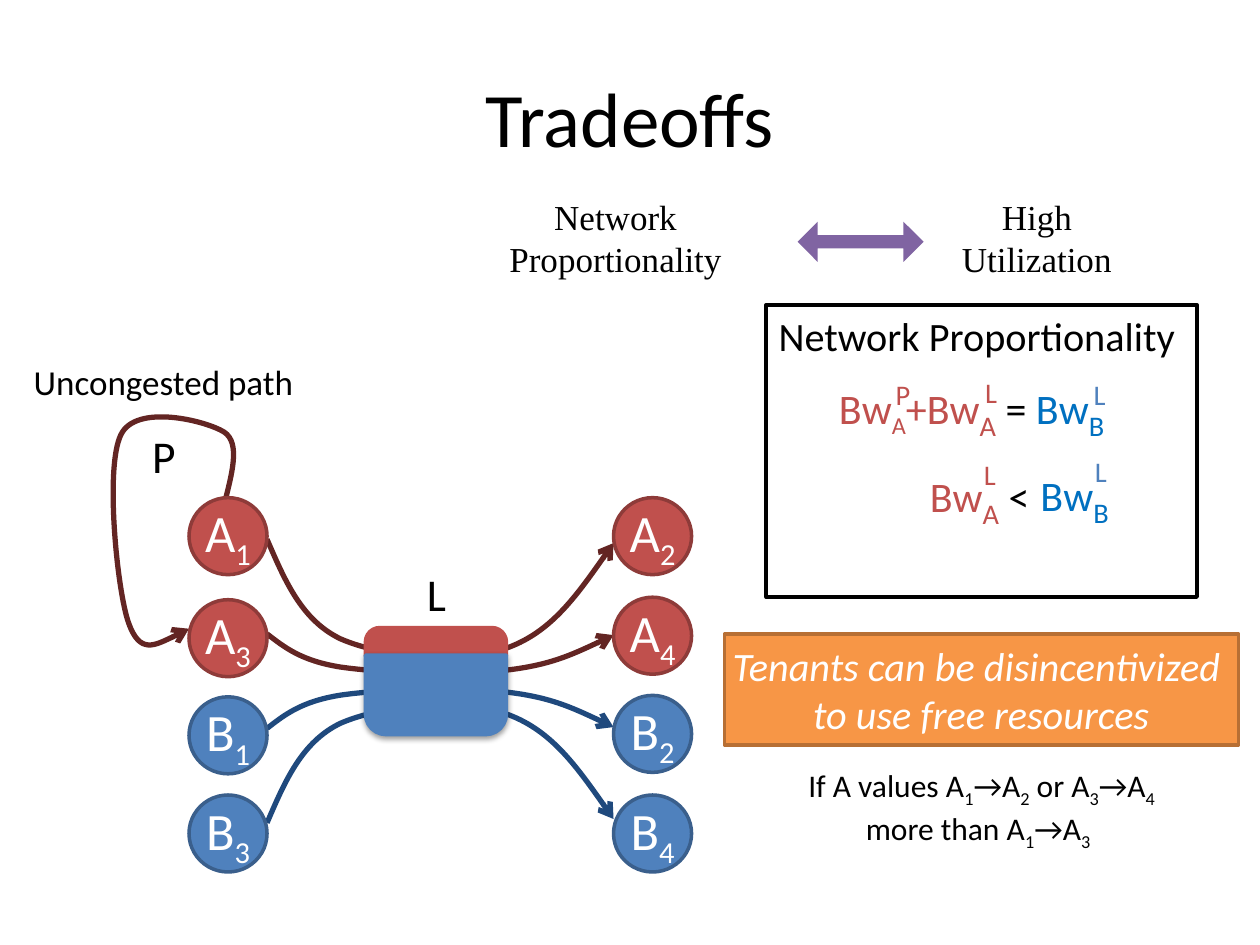
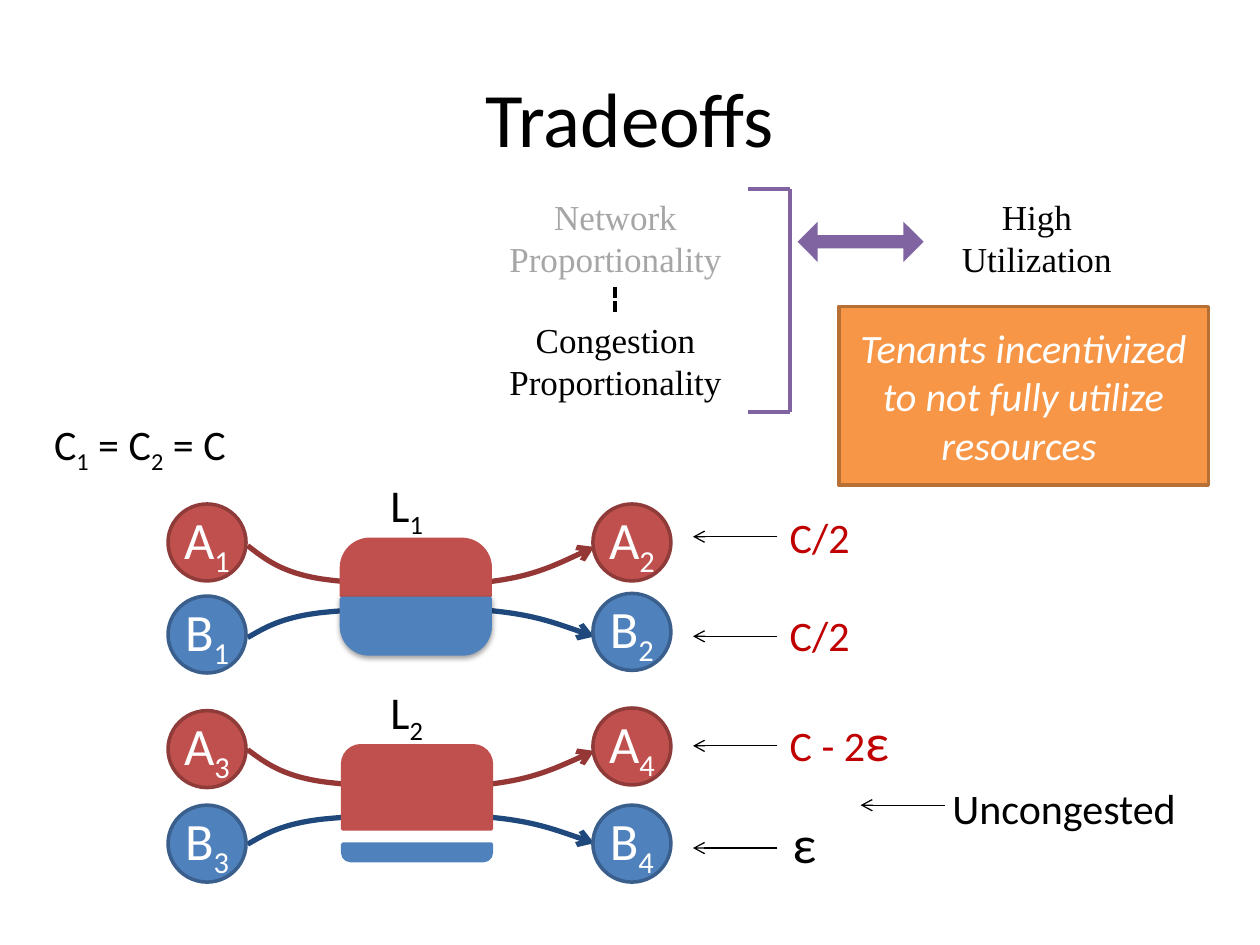
from pptx import Presentation
from pptx.dml.color import RGBColor as RGB
from pptx.enum.dml import MSO_LINE
from pptx.enum.shapes import MSO_CONNECTOR, MSO_SHAPE as SHAPE
from pptx.enum.text import MSO_ANCHOR, MSO_AUTO_SIZE, PP_ALIGN
from pptx.oxml import parse_xml
from pptx.oxml.ns import nsdecls, qn
from pptx.oxml.xmlchemy import OxmlElement
from pptx.util import Pt

BLACK = RGB(0x00, 0x00, 0x00)
WHITE = RGB(0xFF, 0xFF, 0xFF)
GREY = RGB(0xA6, 0xA6, 0xA6)
RED = RGB(0xC0, 0x50, 0x4D)
RED_EDGE = RGB(0x8E, 0x3B, 0x39)
MAROON = RGB(0x63, 0x25, 0x23)
BRICK = RGB(0x95, 0x37, 0x35)
SHARE_RED = RGB(0xC0, 0x00, 0x00)
BLUE = RGB(0x4F, 0x81, 0xBD)
BLUE_EDGE = RGB(0x3A, 0x5F, 0x8C)
NAVY = RGB(0x1F, 0x49, 0x7D)
BRIGHT_BLUE = RGB(0x00, 0x70, 0xC0)
ORANGE = RGB(0xF7, 0x96, 0x46)
ORANGE_EDGE = RGB(0xB7, 0x6F, 0x34)
PURPLE = RGB(0x80, 0x64, 0xA2)
SERIF = "Times New Roman"

# Every link sags with the same profile, scaled to its own depth
LINK_X = (0, 10, 19.5, 42, 65, 109.5, 135.5, 161.5, 180, 198)
LINK_SAG = (0, 0.32, 0.64, 0.79, 0.93, 1, 0.87, 0.75, 0.39, 0.03)


def put(s, box, text="", kind=None, fill=None, edge=None, size=24, color=BLACK,
        font="Calibri", italic=False, base=0, center=False, wrap=False):
    """Add a text box, or a shape of the given kind.

    text is a string or a list of (string, changes) runs, where the changes
    carry on to later runs; "_" makes the next character a subscript.
    """
    box = [Pt(v) for v in box]
    if kind is None:
        sp = s.shapes.add_textbox(*box)
    else:
        sp = s.shapes.add_shape(kind, *box)
        sp.shadow.inherit = False
        sp.fill.solid()
        sp.fill.fore_color.rgb = fill
        if edge is None:
            sp.line.fill.background()
        else:
            sp.line.color.rgb = edge
            sp.line.width = Pt(2)
    if not text:
        return sp
    tf = sp.text_frame
    tf.word_wrap = wrap
    if kind is None:
        tf.auto_size = MSO_AUTO_SIZE.SHAPE_TO_FIT_TEXT
    else:
        tf.margin_left = tf.margin_right = 0
        tf.vertical_anchor = MSO_ANCHOR.MIDDLE
    p = tf.paragraphs[0]
    p.alignment = PP_ALIGN.CENTER if center else PP_ALIGN.LEFT
    look = {"size": size, "color": color}
    for chunk, changes in [(text, {})] if isinstance(text, str) else text:
        look.update(changes)
        first, *rest = chunk.split("_")
        pieces = [(first, base)]
        for part in rest:
            pieces += [(part[0], -25), (part[1:], base)]
        for piece, shift in pieces:
            for i, line in enumerate(piece.split("\n")):
                if i:
                    p = tf.add_paragraph()
                    p.alignment = PP_ALIGN.CENTER if center else PP_ALIGN.LEFT
                if not line:
                    continue
                r = p.add_run()
                r.text = line
                r.font.name, r.font.size = font, Pt(look["size"])
                r.font.color.rgb, r.font.italic = look["color"], italic
                if shift:
                    r.font._element.set("baseline", str(shift * 1000))
    return sp


def stroke(s, points, color, width, arrow=False, dash=None):
    """Draw a straight line through two points, or Bézier curves through 3n + 1."""
    pts = [(Pt(x), Pt(y)) for x, y in points]
    if len(pts) == 2:
        sp = s.shapes.add_connector(MSO_CONNECTOR.STRAIGHT, *pts[0], *pts[1])
    else:
        builder = s.shapes.build_freeform(*pts[0])
        builder.add_line_segments(pts[1:], close=False)
        sp = builder.convert_to_shape()
        sp.fill.background()
        segments = list(sp._element.iter(qn("a:lnTo")))
        for i in range(0, len(segments), 3):
            curve = OxmlElement("a:cubicBezTo")
            segments[i].addprevious(curve)
            for segment in segments[i:i + 3]:
                curve.append(segment[0])
                segment.getparent().remove(segment)
    sp.line.color.rgb = color
    sp.line.width = Pt(width)
    if dash:
        sp.line.dash_style = dash
    ln = next(sp._element.iter(qn("a:ln")))
    if arrow:
        end = OxmlElement("a:tailEnd")
        end.set("type", "arrow")
        ln.append(end)
    ln.addnext(OxmlElement("a:effectLst"))


prs = Presentation()
prs.slide_width, prs.slide_height = Pt(720), Pt(540)

# Shared header
slides = []
for goal_color in (BLACK, GREY):
    s = prs.slides.add_slide(prs.slide_layouts[5])
    slides.append(s)
    title = s.shapes.title
    title.left, title.top, title.width, title.height = Pt(36), Pt(21.6), Pt(648), Pt(90)
    tf = title.text_frame
    tf.vertical_anchor = MSO_ANCHOR.MIDDLE
    p = tf.paragraphs[0]
    p.alignment = PP_ALIGN.CENTER
    r = p.add_run()
    r.text = "Tradeoffs"
    r.font.name, r.font.size, r.font.color.rgb = "Calibri", Pt(44), BLACK
    put(s, (252, 108, 199.5, 55.5), "Network Proportionality", size=20, font=SERIF,
        color=goal_color, center=True, wrap=True)
    put(s, (522, 108, 141, 55.5), "High Utilization", size=20, font=SERIF,
        center=True, wrap=True)
    arrow = put(s, (455.8, 126.7, 72, 23), kind=SHAPE.LEFT_RIGHT_ARROW, fill=PURPLE)
    arrow.adjustments[0] = 0.33
tradeoff, congestion = slides

# Uncongested path P from A1 back to A3
stroke(tradeoff, [(128.2, 288), (132.5, 270.7), (137.5, 253.4), (128.2, 247),
                  (118, 240.5), (77.8, 230.4), (69.1, 248.4),
                  (59.8, 267.1), (67, 337.7), (73.4, 355.7),
                  (79.9, 374.4), (94.3, 366.5), (108, 359.3)], MAROON, 3, arrow=True)

# Links and their end nodes: tenant, source number, tops of both nodes, link start, sag
networks = [
    (tradeoff, 108, 350.6, 152.6, MAROON,
     [("A", 1, 284.4, 284.4, 308.2, 72), ("A", 3, 342.7, 341.3, 362.2, 24),
      ("B", 1, 398.2, 397.4, 416.2, -24), ("B", 3, 454.3, 454.3, 470.2, -72)]),
    (congestion, 96, 338.8, 141.5, BRICK,
     [("A", 1, 288, 288, 311.8, 24), ("B", 1, 340.6, 339.1, 364.3, -18),
      ("A", 3, 406.1, 404.6, 428.4, 23), ("B", 3, 460.1, 460.1, 482.4, -18)]),
]
for s, source_x, target_x, link_x, red_link, rows in networks:
    for tenant, number, source_y, target_y, link_y, sag in rows:
        is_a = tenant == "A"
        stroke(s, [(link_x + dx, link_y + sag * dy) for dx, dy in zip(LINK_X, LINK_SAG)],
               red_link if is_a else NAVY, 3, arrow=True)
        for x, y, n in ((source_x, source_y, number), (target_x, target_y, number + 1)):
            put(s, (x, y, 44.6, 44), f"{tenant}_{n}", SHAPE.OVAL, RED if is_a else BLUE,
                RED_EDGE if is_a else BLUE_EDGE, size=30, color=WHITE, center=True, wrap=True)

# Link capacity split: red share above, blue share below
for s, x, width, red, blue, shaded in (
        (tradeoff, 208.8, 80.6, (358.6, 16.4, 0.5), (374.4, 45.4, 0.26), True),
        (congestion, 195.1, 85, (308.2, 32.4, 0.5), (342, 31.7, 0.5), True),
        (congestion, 195.8, 85, (426.2, 47.5, 0.22), (482.4, 9.4, 0.5), False)):
    for color, (y, height, rounding) in ((RED, red), (BLUE, blue)):
        bar = put(s, (x, y, width, height), kind=SHAPE.ROUND_2_SAME_RECTANGLE,
                  fill=color, edge=color)
        bar.adjustments[0] = rounding if color == RED else 0
        bar.adjustments[1] = rounding if color == BLUE else 0
    if shaded:
        bar._element.spPr.find(qn("a:effectLst")).append(parse_xml(
            f'<a:outerShdw {nsdecls("a")} blurRad="40000" dist="20000" dir="5400000" '
            'rotWithShape="0"><a:srgbClr val="000000"><a:alpha val="38000"/>'
            '</a:srgbClr></a:outerShdw>'))

# Slide 1: labels and proportionality equations
s = tradeoff
put(s, (236.9, 319.7, 25.2, 38.9), "L", size=26)
put(s, (79.9, 241.2, 28, 38.9), "P", size=26)
put(s, (12.2, 202.3, 168.5, 31.7), "Uncongested path", size=20)
put(s, (437.8, 174.2, 246.2, 167), kind=SHAPE.RECTANGLE, fill=WHITE, edge=BLACK)
put(s, (437.8, 174.2, 248.4, 35.3), "Network Proportionality", size=23, wrap=True)
put(s, (472.3, 211, 169.2, 41),
    [("Bw_A+Bw", {"color": RED}), ("_A", {"size": 28}), (" ", {"size": 24}),
     ("= ", {"color": BLACK}), ("Bw", {"color": BRIGHT_BLUE}), ("_B", {"size": 28})])
put(s, (524.2, 261.4, 71.3, 36),
    [("Bw", {"color": RED}), ("_A", {"size": 28}), (" ", {"size": 24}),
     ("<", {"color": BLACK})])
put(s, (587.5, 260.6, 60.5, 36),
    [("Bw", {"color": BRIGHT_BLUE}), ("_B", {"size": 28}), (" ", {"size": 24})])
for letter, x, y, color in (("P", 504.7, 208.8, RED), ("L", 555.8, 207.4, RED),
                            ("L", 617.8, 208.8, BLUE), ("L", 555.1, 254.2, RED),
                            ("L", 618.5, 252.7, BLUE)):
    put(s, (x, y, 24.5 if letter == "P" else 22.3, 41), letter, size=28, color=color, base=30)
put(s, (437.8, 434.2, 246.2, 51), "If A values A_1→A_2 or A_3→A_4 more than A_1→A_3 ",
    size=18, center=True, wrap=True)

# Slide 2: bracketed goals
s = congestion
put(s, (252, 178.6, 199.5, 55.5), "Congestion Proportionality", size=20, font=SERIF,
    center=True, wrap=True)
stroke(s, [(351.4, 164.2), (351.4, 178.6)], BLACK, 2, dash=MSO_LINE.SQUARE_DOT)
for start, end in (((451.4, 108), (427.7, 108)), ((451.4, 235.4), (427.7, 235.4)),
                   ((451.4, 108), (451.4, 235.4))):
    stroke(s, [start, end], PURPLE, 2)

# Slide 2: link names and the share each flow gets
put(s, (23.8, 235.4, 115.2, 36), "C_1 = C_2 = C")
for name, y in (("L_1", 269.3), ("L_2", 387.4)):
    put(s, (216, y, 34.6, 38.9), name, size=26)
for text, x, y, width, height, size, color, arrow_y in (
        ("C/2", 444.2, 288.7, 49, 36, 24, SHARE_RED, 306.7),
        ("C/2", 444.2, 344.9, 49, 36, 24, SHARE_RED, 363.6),
        ([("C - 2", {}), ("ε", {"size": 30})], 444.2, 401.8, 72, 44, 24, SHARE_RED, 426.2),
        ("ε", 445.7, 460.1, 28, 44, 30, BLACK, 484.6),
        ("Uncongested", 537.1, 443.5, 143.3, 36, 24, BLACK, 460.1)):
    put(s, (x, y, width, height), text, size=size, color=color)
    tip = 491.8 if text == "Uncongested" else 396
    stroke(s, [(tip + 48.2, arrow_y), (tip, arrow_y)], BLACK, 0.75, arrow=True)

# Conclusions
for s, box, text in (
        (tradeoff, (414, 362.2, 293.8, 63.4),
         "Tenants can be disincentivized \nto use free resources"),
        (congestion, (479.5, 175, 211, 102.2),
         "Tenants incentivized to not fully utilize resources ")):
    put(s, box, text, SHAPE.RECTANGLE, ORANGE, ORANGE_EDGE, size=23, color=WHITE,
        italic=True, center=True, wrap=True)

prs.save("out.pptx")
